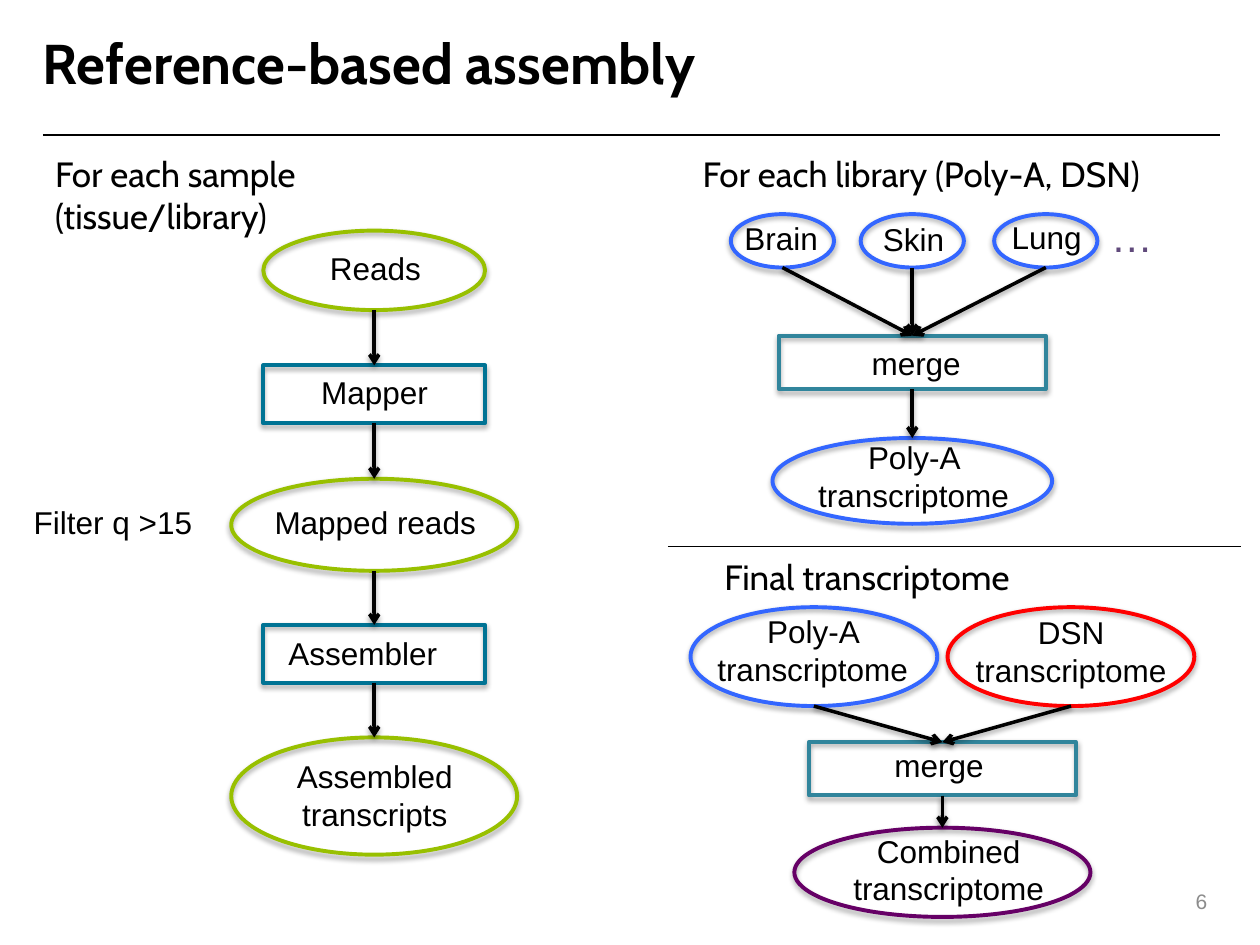
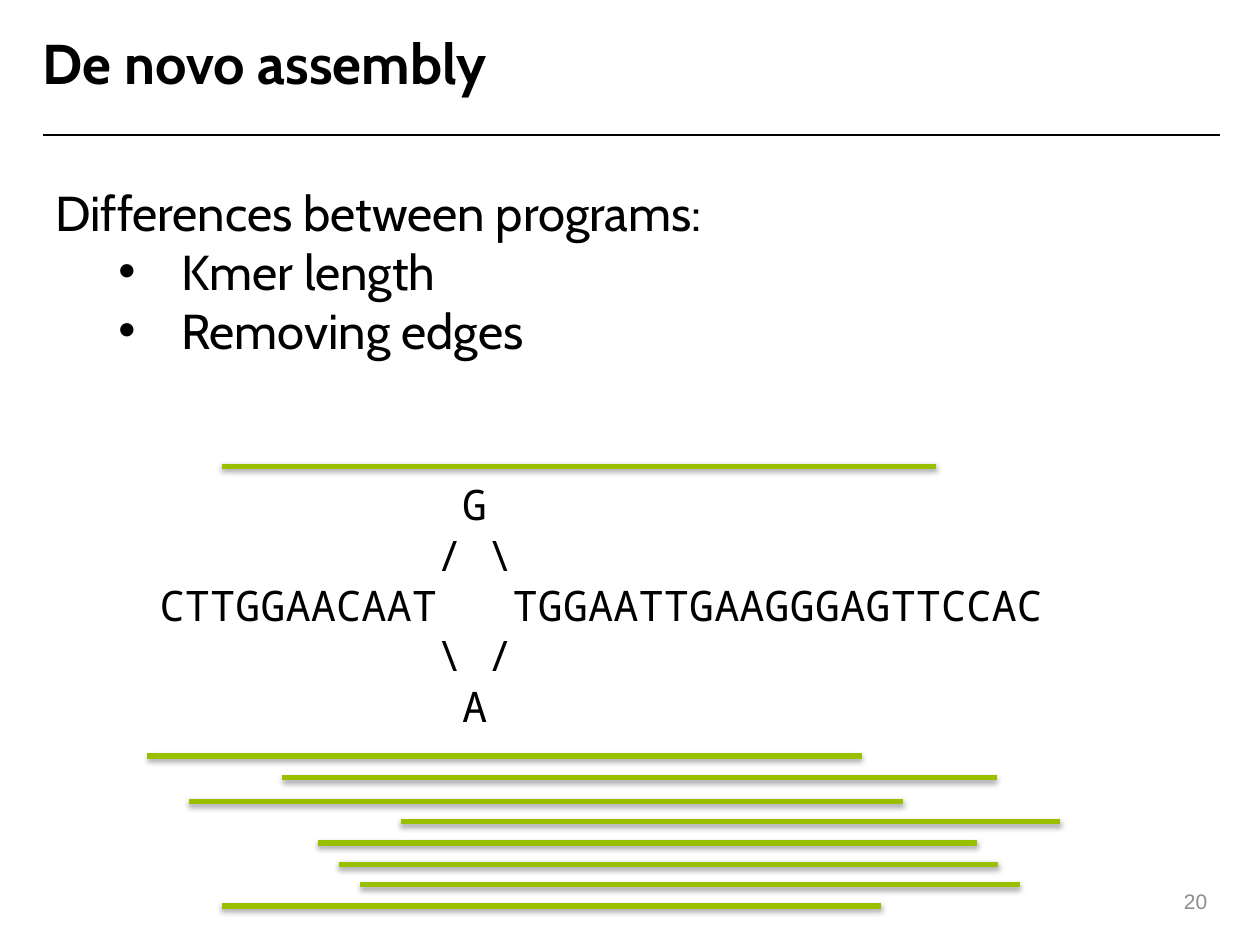
"""Build two slides on reference-based and de novo transcriptome assembly."""
from lxml.etree import SubElement
from pptx import Presentation
from pptx.dml.color import RGBColor
from pptx.enum.shapes import MSO_CONNECTOR as Connector, MSO_SHAPE as Preset
from pptx.enum.text import MSO_ANCHOR as Anchor, MSO_AUTO_SIZE as AutoSize, PP_ALIGN as Align
from pptx.oxml.ns import qn
from pptx.util import Pt

BLACK = RGBColor(0x00, 0x00, 0x00)
GREY = RGBColor(0x8C, 0x8C, 0x8C)
GREEN = RGBColor(0x98, 0xC0, 0x00)
PETROL = RGBColor(0x00, 0x73, 0x94)
TEAL = RGBColor(0x31, 0x85, 0x9C)
BLUE = RGBColor(0x33, 0x66, 0xFF)
RED = RGBColor(0xFF, 0x00, 0x00)
PURPLE = RGBColor(0x66, 0x00, 0x66)
LAVENDER = RGBColor(0x60, 0x4A, 0x7B)

HEADING_FONT = "Cabin"
LABEL_FONT = "Arial"
CODE_FONT = "Noto Sans Mono"
TITLE_ONLY = 5


class Deck:
    def __init__(self):
        self.presentation = Presentation()
        self.presentation.slide_width = Pt(720)
        self.presentation.slide_height = Pt(540)
        self.slide = None

    def new_slide(self, title, title_width, number):
        layout = self.presentation.slide_layouts[TITLE_ONLY]
        self.slide = self.presentation.slides.add_slide(layout)
        self.line((24.5, 77), (697, 77), BLACK, 1)
        self.text((516, 500.4, 181, 29), [number], size=12, colour=GREY,
                  align=Align.RIGHT, anchor=Anchor.MIDDLE, grow=False)
        shape = self.slide.shapes.title
        shape.left, shape.top, shape.width, shape.height = map(
            Pt, (24.5, 16.5, title_width, 45))
        frame = shape.text_frame
        frame.auto_size = AutoSize.NONE
        frame.vertical_anchor = Anchor.TOP
        frame.margin_left = frame.margin_top = frame.margin_right = frame.margin_bottom = 0
        paragraph = frame.paragraphs[0]
        paragraph.alignment = Align.LEFT
        self.run(paragraph, title, HEADING_FONT, 32, BLACK, bold=True)

    def run(self, paragraph, text, font, size, colour, bold=False):
        run = paragraph.add_run()
        run.text = text
        run.font.name = font
        run.font.size = Pt(size)
        run.font.bold = bold
        run.font.color.rgb = colour

    def text(self, box, lines, font=LABEL_FONT, size=18, colour=BLACK,
             align=Align.LEFT, anchor=Anchor.TOP, grow=True, bullets_from=None):
        frame = self.slide.shapes.add_textbox(*map(Pt, box)).text_frame
        frame.word_wrap = True
        frame.auto_size = AutoSize.SHAPE_TO_FIT_TEXT if grow else AutoSize.NONE
        frame.vertical_anchor = anchor
        for index, line in enumerate(lines):
            paragraph = frame.add_paragraph() if index else frame.paragraphs[0]
            paragraph.alignment = align
            if bullets_from is not None and index >= bullets_from:
                self.bullet(paragraph)
            self.run(paragraph, line, font, size, colour)

    def heading(self, left, top, text):
        self.text((left, top, 268.5, 32), [text], font=HEADING_FONT, size=20)

    def bullet(self, paragraph):
        paragraph.level = 1
        properties = paragraph._p.get_or_add_pPr()
        properties.set("marL", str(Pt(72)))
        properties.set("indent", str(Pt(-36)))
        SubElement(properties, qn("a:buFont"), typeface="Arial")
        SubElement(properties, qn("a:buChar"), char="•")

    def shadow(self, effects, opacity, distance):
        shadow = SubElement(effects, qn("a:outerShdw"), blurRad=str(Pt(3.1)),
                            dist=str(Pt(distance)), dir="5400000", rotWithShape="0")
        colour = SubElement(shadow, qn("a:srgbClr"), val=str(BLACK))
        SubElement(colour, qn("a:alpha"), val=str(opacity * 1000))

    def node(self, preset, box, colour, label, label_box, align=Align.LEFT):
        shape = self.slide.shapes.add_shape(preset, *map(Pt, box))
        shape.fill.background()
        shape.line.color.rgb = colour
        shape.line.width = Pt(2.25)
        shape.shadow.inherit = False
        self.shadow(shape.element.spPr.find(qn("a:effectLst")), 35, 1.8)
        self.text(label_box, [label], align=align)
        return shape

    def oval(self, *details, **options):
        return self.node(Preset.OVAL, *details, **options)

    def step(self, *details, **options):
        return self.node(Preset.RECTANGLE, *details, **options)

    def transcriptome(self, box, colour, label, label_left, label_top):
        return self.oval(box, colour, label, (label_left, label_top, 128.2, 51),
                         align=Align.CENTER)

    def line(self, start, end, colour, width, shadow=False):
        connector = self.slide.shapes.add_connector(
            Connector.STRAIGHT, *map(Pt, start + end))
        connector.line.color.rgb = colour
        connector.line.width = Pt(width)
        effects = SubElement(connector.element.spPr, qn("a:effectLst"))
        if shadow:
            self.shadow(effects, 38, 1.6)
        return connector

    def arrow(self, source, target):
        start = ((source.left + source.width / 2) / Pt(1),
                 (source.top + source.height) / Pt(1))
        end = ((target.left + target.width / 2) / Pt(1), target.top / Pt(1))
        connector = self.line(start, end, BLACK, 2, shadow=True)
        if source.auto_shape_type == Preset.RECTANGLE:
            connector.begin_connect(source, 2)
        connector.end_connect(target, 0)
        SubElement(connector.element.spPr.find(qn("a:ln")), qn("a:tailEnd"), type="arrow")


def draw_sample_flow(deck):
    deck.heading(24.5, 83.5, "For each sample (tissue/library)")
    flow = [
        deck.oval((150.5, 131.8, 126.7, 45.4), GREEN, "Reads", (181.4, 139, 78.5, 34)),
        deck.step((150.5, 208.8, 126.7, 33.1), PETROL, "Mapper", (176.4, 209.5, 94.3, 29)),
        deck.oval((132.15, 273.6, 163.4, 52.6), GREEN, "Mapped reads",
                  (149.8, 283.7, 149, 34)),
        deck.step((150.5, 357.1, 126.7, 33.1), PETROL, "Assembler",
                  (157.7, 358.6, 110.9, 29)),
        deck.oval((132.15, 421.4, 163.4, 67), GREEN, "Assembled transcripts",
                  (139.7, 429.1, 149, 59), align=Align.CENTER),
    ]
    for source, target in zip(flow, flow[1:]):
        deck.arrow(source, target)
    deck.text((12.2, 283.7, 110, 30), ["Filter q >15"])


def draw_library_flow(deck):
    deck.heading(394.5, 83.5, "For each library (Poly-A, DSN)")
    tissues = [
        deck.oval((left, 122.4, 59, 30.5), BLUE, name, (label_left, label_top, 59.8, 26.6))
        for name, left, label_left, label_top in (
            ("Brain", 417.6, 418.3, 121.7),
            ("Skin", 491.8, 497.5, 122.4),
            ("Lung", 568.1, 571, 121),
        )
    ]
    deck.text((627.8, 116.6, 60.5, 36), ["…"], size=24, colour=LAVENDER)
    merge = deck.step((445, 191.8, 152.6, 30.5), TEAL, "merge", (491, 193, 103, 29))
    result = deck.transcriptome((441.4, 250.3, 159.8, 49), BLUE, "Poly-A transcriptome",
                                457.9, 247)
    for tissue in tissues:
        deck.arrow(tissue, merge)
    deck.arrow(merge, result)


def draw_final_flow(deck):
    deck.line((381.6, 312.5), (709.2, 312.5), BLACK, 0.5)
    deck.heading(406.8, 313.9, "Final transcriptome")
    libraries = [
        deck.transcriptome((394.6, 347, 141, 56.5), BLUE, "Poly-A transcriptome",
                           400.3, 346.3),
        deck.transcriptome((541.5, 347, 141, 56.5), RED, "DSN transcriptome", 547.9, 347),
    ]
    merge = deck.step((462.2, 424.1, 152.6, 30.5), TEAL, "merge", (504, 422.6, 103, 29))
    result = deck.transcriptome((453.9, 473, 169.2, 51), PURPLE, "Combined transcriptome",
                                478, 471.6)
    for library in libraries:
        deck.arrow(library, merge)
    deck.arrow(merge, result)


def draw_de_novo(deck):
    deck.text((24.5, 100.8, 545.8, 108.7),
              ["Differences between programs:", "Kmer length", "Removing edges"],
              font=HEADING_FONT, size=28, bullets_from=1)
    deck.text((84.2, 270, 573, 152.6), [
        "            G",
        "           / \\",
        "CTTGGAACAAT   TGGAATTGAAGGGAGTTCCAC",
        "           \\ /",
        "            A",
    ], font=CODE_FONT, size=24)
    long_read, short_read = 408.2, 376.8
    for left, top, length in (
        (126.7, 266.4, long_read),
        (84.2, 432, long_read),
        (161.3, 444.2, long_read),
        (108, 457.9, long_read),
        (229, 469.6, short_read),
        (181.6, 481.7, short_read),
        (193.7, 493.9, short_read),
        (205.9, 505.6, short_read),
        (126.7, 517.7, short_read),
    ):
        deck.line((left, top), (left + length, top), GREEN, 3, shadow=True)


def main():
    deck = Deck()
    deck.new_slide("Reference-based assembly", 523.4, "6")
    draw_sample_flow(deck)
    draw_library_flow(deck)
    draw_final_flow(deck)
    deck.new_slide("De novo assembly", 491.8, "20")
    draw_de_novo(deck)
    deck.presentation.save("out.pptx")


if __name__ == "__main__":
    main()
